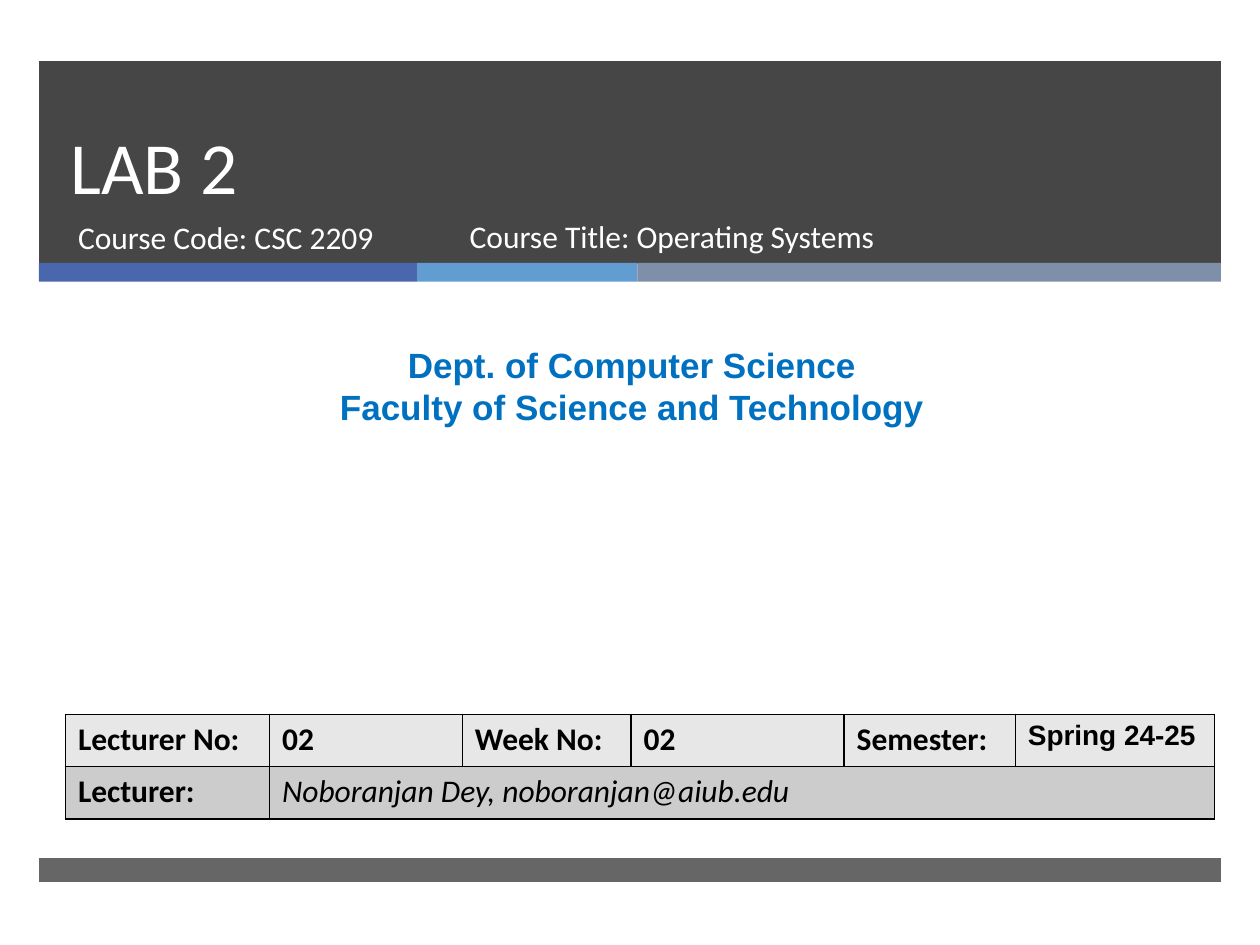
import pptx
import pptx.dml.color
import pptx.enum.shapes
import pptx.enum.text
import pptx.oxml
import pptx.oxml.ns
import pptx.util

Pt = pptx.util.Pt
ALIGN = pptx.enum.text.PP_ALIGN
ANCHOR = pptx.enum.text.MSO_ANCHOR


def paint(color_holder, color, opacity=None):
    """Give a fill a solid hex colour, with an optional opacity in percent."""
    color_holder.solid()
    color_holder.fore_color.rgb = pptx.dml.color.RGBColor.from_string(color)
    if opacity is not None:
        node = color_holder._xPr.find(".//" + pptx.oxml.ns.qn("a:srgbClr"))
        node.append(pptx.oxml.parse_xml(
            f'<a:alpha {pptx.oxml.ns.nsdecls("a")} val="{opacity * 1000}"/>'))


def add_bar(page, area, color, opacity=None):
    """Draw a plain bar in the given area."""
    bar = page.shapes.add_shape(
        pptx.enum.shapes.MSO_SHAPE.RECTANGLE, *map(Pt, area))
    bar.shadow.inherit = False
    bar.line.fill.background()
    paint(bar.fill, color, opacity)


def place(box, area):
    """Move and size a placeholder to the given area."""
    box.left, box.top, box.width, box.height = map(Pt, area)


def write(frame, lines, size, font, color, align=ALIGN.LEFT, spacing=None,
          bold=False, italic=False):
    """Write one paragraph for each line in a text frame."""
    frame.word_wrap = True
    for index, line in enumerate(lines):
        para = frame.add_paragraph() if index else frame.paragraphs[0]
        para.alignment = align
        para.space_before = Pt(0)
        if spacing:
            para.line_spacing = Pt(spacing)
        span = para.add_run()
        span.text = line
        span.font.size = Pt(size)
        span.font.name = font
        span.font.bold = bold
        span.font.italic = italic
        paint(span.font.fill, color)


def add_header(page, left, top, width):
    """Build the dark header with its title, course lines and colour strip."""
    add_bar(page, (left, top, width, 116), "262626", 85)
    strip_left = left
    for part, color in ((216, "4A66AC"), (126, "629DD1"), (333.4, "7F8FA9")):
        add_bar(page, (strip_left, top + 115.2, part, 10.8), color)
        strip_left += part

    title, code = page.shapes.title, page.placeholders[1]
    place(title, (left + 10.8, top, 615, 85.7))
    place(code, (left + 15.1, top + 85.7, 220, 38))
    course = page.shapes.add_textbox(
        *map(Pt, (left + 239, top + 85.7, 328, 38)))
    for box, text, size, spacing, anchor in (
            (title, "LAB 2", 42, 46, ANCHOR.BOTTOM),
            (code, "Course Code: CSC 2209", 18, None, ANCHOR.TOP),
            (course, "Course Title: Operating Systems", 18, None, ANCHOR.TOP)):
        frame = box.text_frame
        frame.auto_size = pptx.enum.text.MSO_AUTO_SIZE.NONE
        frame.vertical_anchor = anchor
        write(frame, [text], size, "Calibri", "FFFFFF", spacing=spacing)
    title.text_frame.margin_bottom = Pt(1)


def add_department(page, area):
    """Centre the department and faculty names in the given area."""
    box = page.shapes.add_textbox(*map(Pt, area))
    write(box.text_frame,
          ["Dept. of Computer Science", "Faculty of Science and Technology"],
          20, "Arial", "0070C0", ALIGN.CENTER, spacing=24, bold=True)


def style_cell(cell, color):
    """Give a cell thin black borders and a solid fill."""
    properties = cell._tc.get_or_add_tcPr()
    for side in ("lnL", "lnR", "lnT", "lnB"):
        properties.append(pptx.oxml.parse_xml(
            f'<a:{side} {pptx.oxml.ns.nsdecls("a")} w="{Pt(0.96)}">'
            f'<a:solidFill><a:srgbClr val="000000"/></a:solidFill></a:{side}>'))
    paint(cell.fill, color)


def add_lecture_table(page, left, top):
    """Build the table of lecture details."""
    widths = (116.6, 110.2, 96.5, 121.7, 97.9, 113.8)
    row_height = 29.9
    table = page.shapes.add_table(
        2, len(widths), *map(Pt, (left, top, sum(widths), 2 * row_height))).table
    for column, width in zip(table.columns, widths):
        column.width = Pt(width)
    for row, color in zip(table.rows, ("E7E7E7", "CCCCCC")):
        row.height = Pt(row_height)
        for cell in row.cells:
            style_cell(cell, color)
    table.cell(1, 1).merge(table.cell(1, 5))

    labels = ("Lecturer No:", "02", "Week No:", "02", "Semester:")
    for index, label in enumerate(labels):
        write(table.cell(0, index).text_frame, [label], 18, "Calibri", "000000",
              bold=True)
    write(table.cell(0, 5).text_frame, ["Spring 24-25"], 16, "Arial", "000000",
          bold=True)
    write(table.cell(1, 0).text_frame, ["Lecturer:"], 18, "Calibri", "000000",
          bold=True)
    write(table.cell(1, 1).text_frame, ["Noboranjan Dey, noboranjan@aiub.edu"],
          18, "Calibri", "000000", italic=True)


def main():
    """Build the title slide and save the deck."""
    deck = pptx.Presentation()
    deck.slide_width, deck.slide_height = Pt(720), Pt(540)
    page = deck.slides.add_slide(deck.slide_layouts[0])
    paint(page.background.fill, "FFFFFF")
    add_header(page, 22.3, 35, 675.4)
    add_bar(page, (22.3, 490.3, 675.4, 13.7), "262626", 70)
    add_department(page, (5.8, 193, 710.6, 55.4))
    add_lecture_table(page, 37.4, 408.2)
    shapes = page.shapes._spTree
    for box in (page.shapes.title, page.placeholders[1]):
        shapes.remove(box._element)
        shapes.append(box._element)
    deck.save("out.pptx")


if __name__ == "__main__":
    main()
